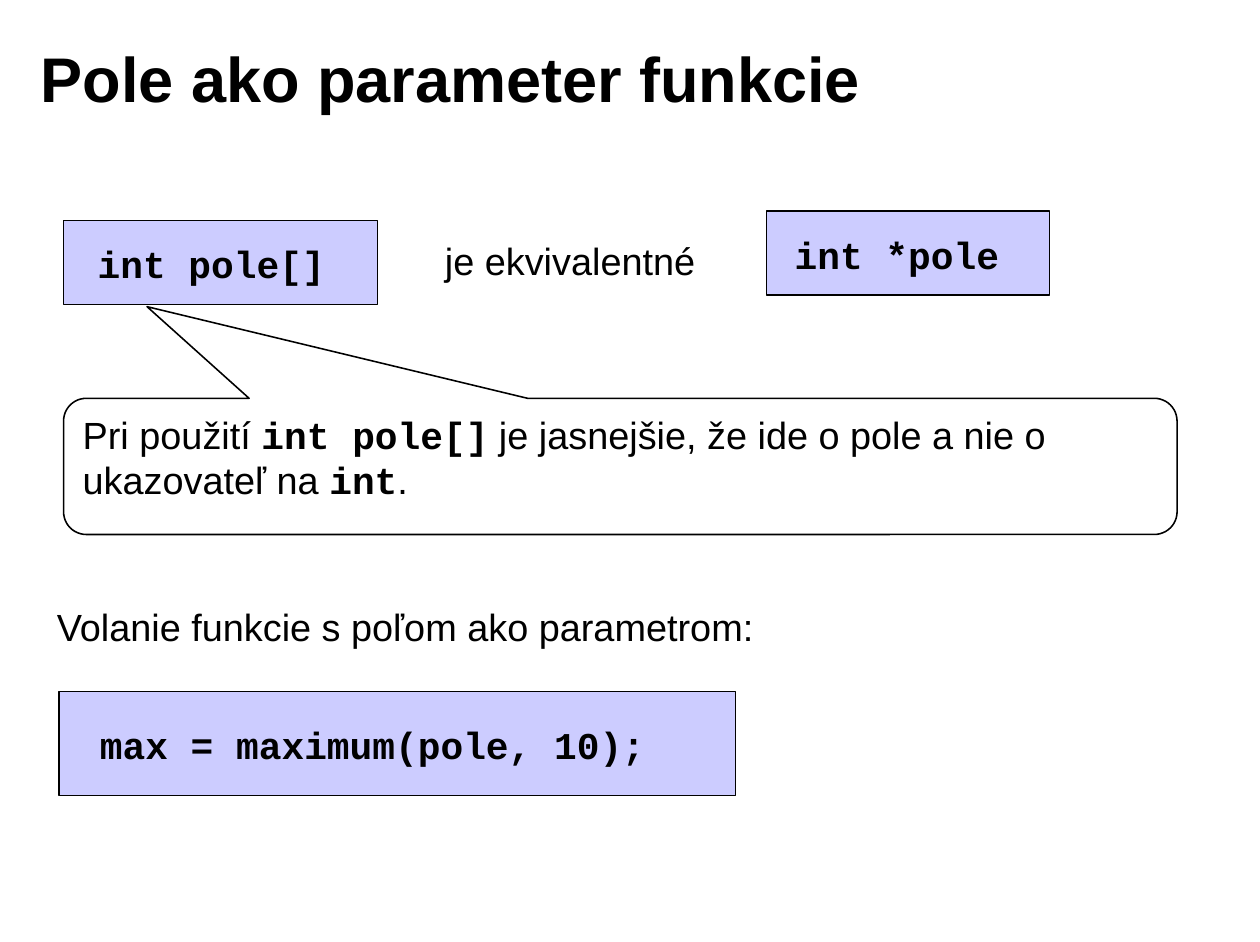
from pptx import Presentation
from pptx.dml.color import RGBColor
from pptx.enum.shapes import MSO_SHAPE
from pptx.enum.text import MSO_ANCHOR, MSO_AUTO_SIZE, PP_ALIGN
from pptx.util import Emu, Pt

RECTANGLE = MSO_SHAPE.RECTANGLE
CALLOUT = MSO_SHAPE.ROUNDED_RECTANGULAR_CALLOUT
TOP, MIDDLE = MSO_ANCHOR.TOP, MSO_ANCHOR.MIDDLE
NO_FIT = MSO_AUTO_SIZE.NONE
LEFT = PP_ALIGN.LEFT

EMU_PER_PX = 9144
BODY_FONT, CODE_FONT = "Arial", "Courier New"
BLACK, WHITE, LAVENDER = "000000", "FFFFFF", "CCCCFF"
TITLE_SIZE, TEXT_SIZE = 40, 24


def px(length):
    return Emu(length * EMU_PER_PX)


def color(value):
    return RGBColor.from_string(value)


def format_run(run, size, code=False, bold=False):
    run.font.name = CODE_FONT if code else BODY_FONT
    run.font.size = Pt(size)
    run.font.bold = code or bold
    run.font.color.rgb = color(BLACK)


def set_frame(frame, wrap, anchor=TOP):
    frame.word_wrap = wrap
    frame.auto_size = NO_FIT
    frame.vertical_anchor = anchor
    frame.margin_left = frame.margin_right = px(11)
    frame.margin_top = frame.margin_bottom = px(6)
    frame.paragraphs[0].alignment = LEFT


def add_panel(slide, kind, box, fill, line_width):
    panel = slide.shapes.add_shape(kind, *map(px, box))
    panel.shadow.inherit = False
    panel.fill.solid()
    panel.fill.fore_color.rgb = color(fill)
    panel.line.color.rgb = color(BLACK)
    panel.line.width = Pt(line_width)
    return panel


def add_title(slide, box):
    title = slide.shapes.title
    title.left, title.top, title.width, title.height = map(px, box)
    title.text_frame.text = "Pole ako parameter funkcie"
    set_frame(title.text_frame, True, MIDDLE)
    format_run(title.text_frame.paragraphs[0].runs[0], TITLE_SIZE, bold=True)


def add_label(slide, box, text, code=False):
    frame = slide.shapes.add_textbox(*map(px, box)).text_frame
    frame.text = text
    set_frame(frame, False)
    format_run(frame.paragraphs[0].runs[0], TEXT_SIZE, code)


def add_code(slide, box, code, indent, text_width):
    left, top, width, height = box
    add_panel(slide, RECTANGLE, box, LAVENDER, 0.75)
    text_height = 51
    text_top = top + (height - text_height) // 2 + 1
    add_label(slide, (left + indent, text_top, text_width, text_height), code, True)


def add_equivalence(slide, box):
    left, top, width, height = box
    panel_height = 74
    add_code(slide, (left, top + 8, 277, panel_height), "int pole[]", 19, 222)
    add_label(slide, (left + 325, top + 17, 243, 51), "je ekvivalentné")
    add_code(slide, (left + width - 250, top, 250, panel_height), "int *pole", 14, 202)


def add_call(slide, box):
    left, top, width, height = box
    add_label(slide, (left - 13, top, 635, 50), "Volanie funkcie s poľom ako parametrom:")
    panel_height = 92
    panel = (left, top + height - panel_height, width, panel_height)
    add_code(slide, panel, "max = maximum(pole, 10);", 25, 508)


def add_remark(slide, box):
    remark = add_panel(slide, CALLOUT, box, WHITE, 1)
    for index, value in enumerate((-0.425, -1.173, 0.167)):
        remark.adjustments[index] = value
    set_frame(remark.text_frame, True)
    pieces = (
        ("Pri použití ", False),
        ("int pole[]", True),
        (" je jasnejšie, že ide o pole a nie o ukazovateľ na ", False),
        ("int", True),
        (".", False),
    )
    for text, code in pieces:
        run = remark.text_frame.paragraphs[0].add_run()
        run.text = text
        format_run(run, TEXT_SIZE, code)


def main():
    deck = Presentation()
    deck.slide_width, deck.slide_height = px(1110), px(830)
    slide = deck.slides.add_slide(deck.slide_layouts[5])
    add_title(slide, (25, 17, 891, 102))
    add_equivalence(slide, (56, 186, 869, 82))
    add_call(slide, (52, 526, 596, 175))
    add_remark(slide, (56, 351, 981, 120))
    deck.save("out.pptx")


if __name__ == "__main__":
    main()
